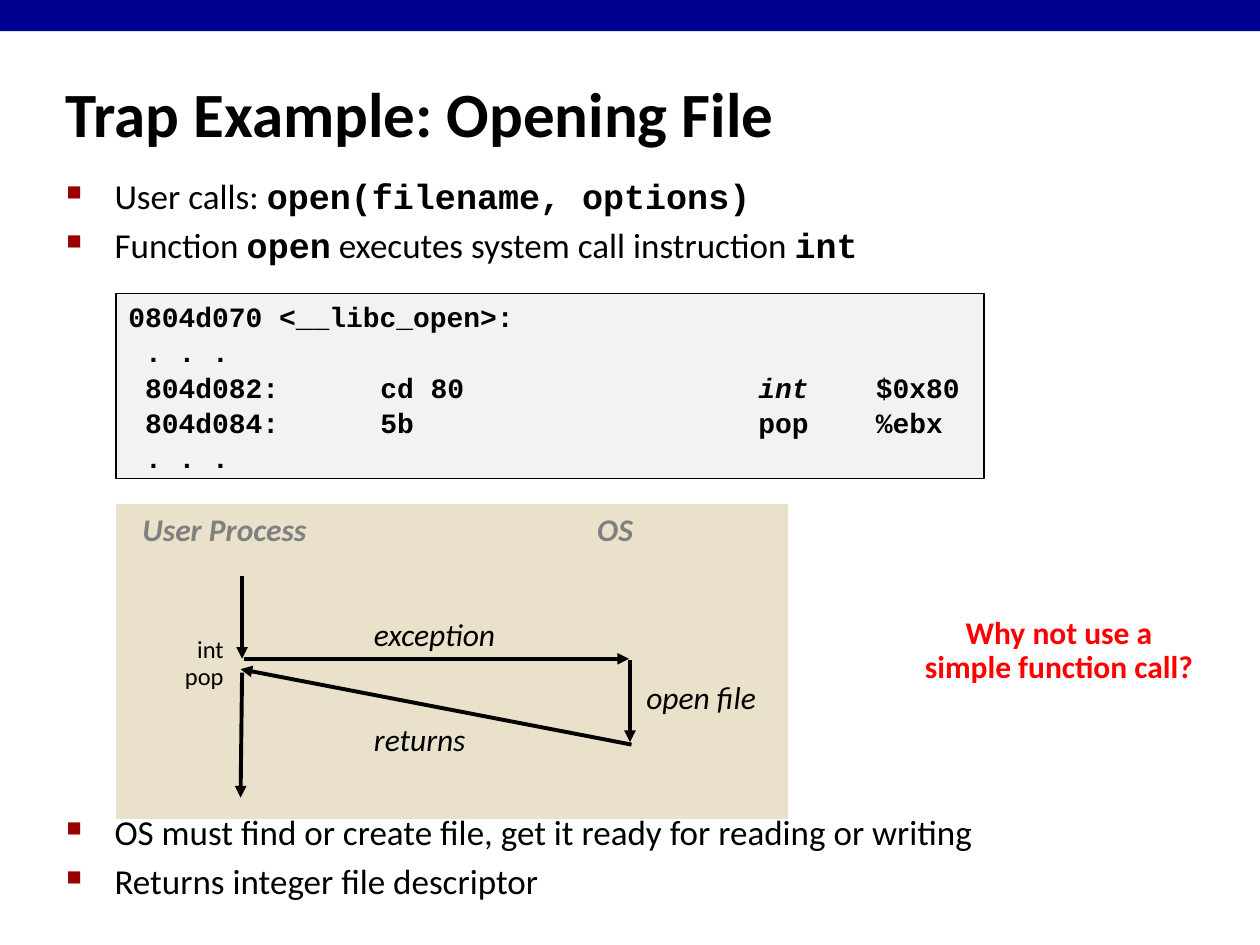
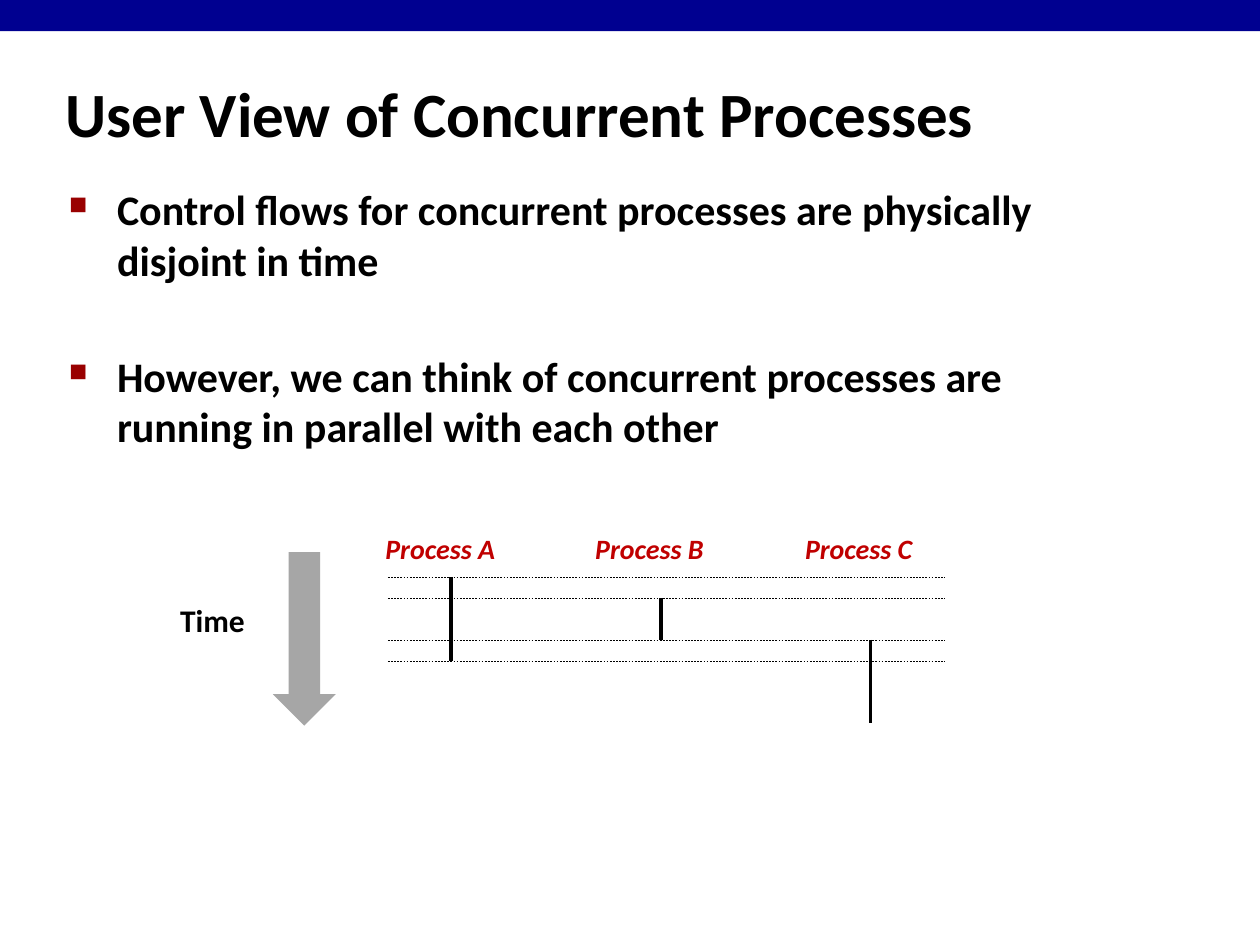
from dataclasses import dataclass

from lxml import etree
from pptx import Presentation
from pptx.dml.color import RGBColor
from pptx.enum.dml import MSO_LINE
from pptx.enum.shapes import MSO_CONNECTOR, MSO_SHAPE
from pptx.enum.text import MSO_ANCHOR, PP_ALIGN
from pptx.oxml.ns import qn
from pptx.util import Cm, Pt

RECT = MSO_SHAPE.RECTANGLE
DOWN = MSO_SHAPE.DOWN_ARROW
LINE = MSO_CONNECTOR.STRAIGHT
DASH = MSO_LINE.DASH
TOP = MSO_ANCHOR.TOP
MIDDLE = MSO_ANCHOR.MIDDLE
LEFT = PP_ALIGN.LEFT
RIGHT = PP_ALIGN.RIGHT
CENTER = PP_ALIGN.CENTER


@dataclass(frozen=True)
class Theme:
    sans: str = "Calibri"
    mono: str = "Courier New"
    ink: str = "000000"
    band: str = "000090"
    mark: str = "990000"
    panel: str = "E9E1C9"
    paper: str = "F2F2F2"
    muted: str = "808080"
    arrow: str = "A6A6A6"
    alert: str = "FF0000"
    process: str = "C00000"
    title: int = 36
    lead: int = 24
    body: int = 20
    label: int = 18
    code: int = 16
    small: int = 14


THEME = Theme()


def color(code):
    return RGBColor.from_string(code)


def add_tag(parent, tag, **attrs):
    return etree.SubElement(parent, qn(tag), attrs)


def add_mark(para):
    props = para._p.get_or_add_pPr()
    props.set("marL", str(Cm(0.97)))
    props.set("indent", str(-Cm(0.97)))
    add_tag(add_tag(props, "a:buClr"), "a:srgbClr", val=THEME.mark)
    add_tag(props, "a:buSzPct", val="60000")
    add_tag(props, "a:buChar", char="■")


def add_tabs(para, stops):
    tabs = add_tag(para._p.get_or_add_pPr(), "a:tabLst")
    for stop in stops:
        add_tag(tabs, "a:tab", pos=str(Cm(stop)), algn="l")


def write(shape, paras, size=THEME.label, font=THEME.sans, ink=THEME.ink,
          bold=False, italic=False, align=LEFT, anchor=TOP, bullet=False,
          tabs=(), gap=0, lead=None):
    frame = shape.text_frame
    frame.word_wrap = True
    frame.vertical_anchor = anchor
    for index, parts in enumerate(paras):
        para = frame.paragraphs[0] if index == 0 else frame.add_paragraph()
        if bullet:
            add_mark(para)
        if tabs:
            add_tabs(para, tabs)
        para.alignment = align
        para.space_before = Pt(gap if index else 0)
        if lead:
            para.line_spacing = lead
        for part in [parts] if isinstance(parts, str) else parts:
            words, style = (part, "") if isinstance(part, str) else part
            run = para.add_run()
            run.text = words
            run.font.name = THEME.mono if style == "mono" else font
            run.font.size = Pt(size)
            run.font.bold = bold or style == "mono"
            run.font.italic = italic or style == "italic"
            run.font.color.rgb = color(ink)


def add_text(slide, box, *paras, **style):
    shape = slide.shapes.add_textbox(*map(Cm, box))
    write(shape, paras, **style)


def add_block(slide, kind, box, fill, edge=None):
    shape = slide.shapes.add_shape(kind, *map(Cm, box))
    shape.shadow.inherit = False
    shape.fill.solid()
    shape.fill.fore_color.rgb = color(fill)
    if edge:
        shape.line.color.rgb = color(edge)
        shape.line.width = Pt(1)
    else:
        shape.line.fill.background()
    return shape


def add_line(slide, ends, width, dash=None, head=False):
    line = slide.shapes.add_connector(LINE, *map(Cm, ends))
    line.line.color.rgb = color(THEME.ink)
    line.line.width = Pt(width)
    if dash:
        line.line.dash_style = dash
    if head:
        add_tag(line.line._get_or_add_ln(), "a:tailEnd", type="triangle")
    add_tag(line._element.spPr, "a:effectLst")


def add_page(deck, title):
    slide = deck.slides.add_slide(deck.slide_layouts[6])
    add_block(slide, RECT, (0, 0, 25.4, 0.63), THEME.band)
    add_text(slide, (1.07, 1.47, 23.5, 1.6), title,
             size=THEME.title, bold=True, anchor=MIDDLE)
    return slide


def add_code(slide, box):
    shape = add_block(slide, RECT, box, THEME.paper, THEME.ink)
    lines = (
        "0804d070 <__libc_open>:",
        " . . .",
        (" 804d082:\tcd 80\t", ("int", "italic"), "\t$0x80"),
        " 804d084:\t5b\tpop\t%ebx",
        " . . .",
    )
    write(shape, lines, size=THEME.code, font=THEME.mono, bold=True,
          anchor=MIDDLE, tabs=(5.08, 12.7, 15.07), lead=1.05)


def add_trap(slide, box):
    left, top, _, _ = box
    add_block(slide, RECT, box, THEME.panel)
    for name, x in (("User Process", 0.28), ("OS", 9.45)):
        add_text(slide, (left + x, top, 5.2, 1.27), name,
                 ink=THEME.muted, bold=True, italic=True)
    for x1, y1, x2, y2 in (
        (2.54, 1.45, 2.54, 3.12),
        (2.57, 3.12, 10.34, 3.12),
        (10.36, 3.15, 10.36, 4.8),
        (10.39, 4.85, 2.51, 3.33),
        (2.54, 3.4, 2.51, 5.92),
    ):
        add_line(slide, (left + x1, top + y1, left + x2, top + y2),
                 2.25, head=True)
    for name, x, y in (("exception", 4.95, 2.11),
                       ("open file", 10.44, 3.38),
                       ("returns", 4.95, 4.24)):
        add_text(slide, (left + x, top + y, 3.38, 1.02), name, italic=True)
    for name, y in (("int", 2.49), ("pop", 3.05)):
        add_text(slide, (left + 0.4, top + y, 2.02, 0.86), name,
                 size=THEME.small, align=RIGHT)


def add_flows(slide, box):
    left, top, width, _ = box
    start, unit, pitch = top + 1.05, 0.42, 4.23
    for index, (name, steps) in enumerate((("Process A", (0, 2)),
                                           ("Process B", (1,)),
                                           ("Process C", (3, 5)))):
        x = left + index * pitch
        add_text(slide, (x - 0.3, top, 3.2, 0.94), name, size=THEME.code,
                 ink=THEME.process, bold=True, italic=True)
        for step in steps:
            y = start + step * unit
            add_line(slide, (x + 1.27, y, x + 1.27, y + 2 * unit), 2)
    for step in (0, 1, 3, 4):
        y = start + step * unit
        add_line(slide, (left, y, left + width, y), 0.25, dash=DASH)


def add_time(slide, box):
    left, top, width, height = box
    add_text(slide, (left, top + 0.86, 2.26, 1.27), "Time", bold=True)
    add_block(slide, DOWN, (left + width - 1.27, top, 1.27, height),
              THEME.arrow)


def trap_page(deck):
    slide = add_page(deck, "Trap Example: Opening File")
    add_trap(slide, (2.34, 10.16, 13.55, 6.35))
    calls = (
        ("User calls: ", ("open(filename, options)", "mono")),
        ("Function ", ("open", "mono"),
         " executes system call instruction ", ("int", "mono")),
    )
    result = (
        "OS must find or create file, get it ready for reading or writing",
        "Returns integer file descriptor",
    )
    for y, points in ((3.4, calls), (16.22, result)):
        add_text(slide, (1.09, y, 23.24, 2.2), *points,
                 size=THEME.body, bullet=True, gap=4)
    add_code(slide, (2.34, 5.92, 17.5, 3.73))
    add_text(slide, (18, 12.32, 6.7, 1.65),
             "Why not use a", "simple function call?",
             ink=THEME.alert, bold=True, align=CENTER, lead=0.9)


def view_page(deck):
    slide = add_page(deck, "User View of Concurrent Processes")
    add_text(
        slide, (1.14, 3.58, 21.95, 5.54),
        "Control flows for concurrent processes are physically "
        "disjoint in time",
        "However, we can think of concurrent processes are running "
        "in parallel with each other",
        size=THEME.lead, bold=True, bullet=True, gap=37.5)
    add_time(slide, (3.38, 11.13, 3.39, 3.5))
    add_flows(slide, (7.82, 10.59, 11.23, 4.02))


def main():
    deck = Presentation()
    deck.slide_width = Cm(25.4)
    deck.slide_height = Cm(19.05)
    trap_page(deck)
    view_page(deck)
    deck.save("out.pptx")


if __name__ == "__main__":
    main()
